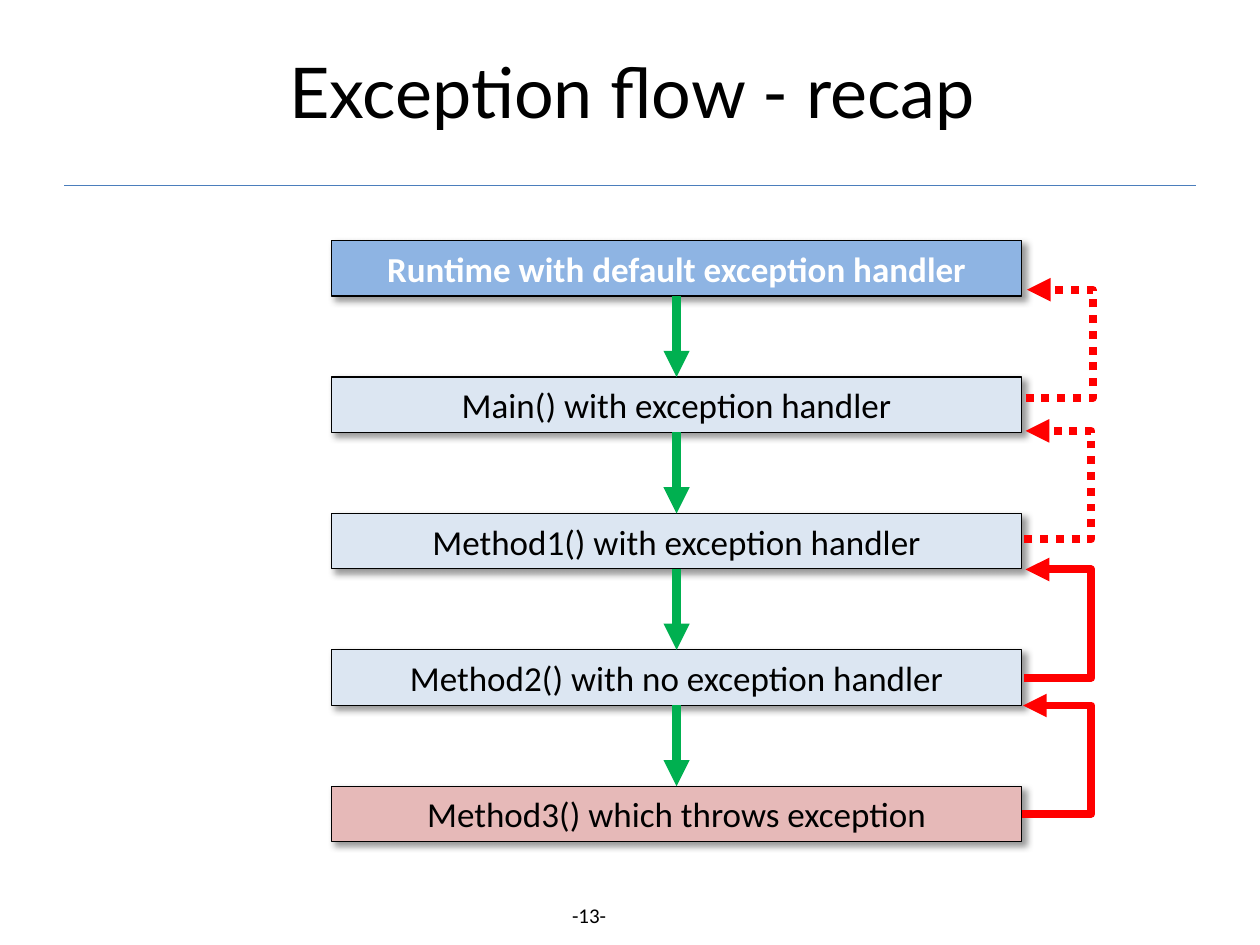
from pptx import Presentation
from pptx.dml.color import RGBColor
from pptx.enum.dml import MSO_LINE
from pptx.enum.shapes import MSO_CONNECTOR, MSO_SHAPE
from pptx.enum.text import MSO_ANCHOR, MSO_AUTO_SIZE, PP_ALIGN
from pptx.oxml import parse_xml
from pptx.oxml.ns import nsdecls
from pptx.util import Inches, Pt

STRAIGHT, ELBOW = MSO_CONNECTOR.STRAIGHT, MSO_CONNECTOR.ELBOW
DOTTED = MSO_LINE.ROUND_DOT
TITLE_ONLY = 5
COLORS = {
    "black": "000000", "white": "FFFFFF", "rule": "4B7EBC",
    "runtime": "8EB4E3", "method": "DCE6F2", "thrower": "E6B9B8",
    "call": "00B050", "throw": "FF0000",
}
CALLS = [
    ("Runtime with default exception handler", "runtime"),
    ("Main() with exception handler", "method"),
    ("Method1() with exception handler", "method"),
    ("Method2() with no exception handler", "method"),
    ("Method3() which throws exception", "thrower"),
]
# Start x, start y, lane x and dash of each step back up the stack
THROWS = [
    (8.11, 6.46, 8.67, None),
    (8.13, 5.38, 8.67, None),
    (8.13, 4.28, 8.67, DOTTED),
    (8.14, 3.16, 8.68, DOTTED),
]


def color(name):
    return RGBColor.from_string(COLORS[name])


def place(shape, left, top, width, height):
    shape.left, shape.top = Inches(left), Inches(top)
    shape.width, shape.height = Inches(width), Inches(height)


def write_text(shape, text, size, font="Calibri", ink="black", bold=False):
    frame = shape.text_frame
    frame.word_wrap = True
    frame.auto_size = MSO_AUTO_SIZE.NONE
    frame.vertical_anchor = MSO_ANCHOR.MIDDLE
    paragraph = frame.paragraphs[0]
    paragraph.alignment = PP_ALIGN.CENTER
    run = paragraph.add_run()
    run.text = text
    run.font.name, run.font.size, run.font.bold = font, Pt(size), bold
    run.font.color.rgb = color(ink)


def add_line(slide, kind, start, end, ink, width, dash=None, arrow=True):
    line = slide.shapes.add_connector(
        kind, *(Inches(value) for value in (*start, *end)))
    line.line.color.rgb = color(ink)
    line.line.width = Pt(width)
    if dash is not None:
        line.line.dash_style = dash
    if arrow:
        line.line._get_or_add_ln().append(
            parse_xml(f'<a:tailEnd {nsdecls("a")} type="triangle"/>'))
    line._element.spPr.append(parse_xml(f'<a:effectLst {nsdecls("a")}/>'))
    return line


def add_shadow(shape):
    shape.shadow.inherit = False
    shape._element.spPr.find("{*}effectLst").append(parse_xml(
        f'<a:outerShdw {nsdecls("a")} blurRad="{Pt(4)}" dist="{Pt(3)}" '
        'dir="2700000" algn="tl" rotWithShape="0"><a:srgbClr val="000000">'
        '<a:alpha val="40000"/></a:srgbClr></a:outerShdw>'))


def add_header(slide, left, top, width, height):
    title = slide.shapes.title
    place(title, left, top, width, height)
    write_text(title, "Exception flow - recap", 40, font="Lato")
    add_line(slide, STRAIGHT, (0.51, 1.47), (9.49, 1.47), "rule", 0.75,
             arrow=False)


def add_call_stack(slide, left, top, width, height):
    """Spread the call boxes evenly over the height and link them downwards."""
    box_height = 0.44
    pitch = (height - box_height) / (len(CALLS) - 1)
    center = left + width / 2
    for index, (text, fill) in enumerate(CALLS):
        box_top = top + index * pitch
        box = slide.shapes.add_shape(MSO_SHAPE.RECTANGLE, 0, 0, 0, 0)
        place(box, left, box_top, width, box_height)
        box.fill.solid()
        box.fill.fore_color.rgb = color(fill)
        box.line.color.rgb = color("black")
        box.line.width = Pt(0.75)
        add_shadow(box)
        first = index == 0
        write_text(box, text, 20, ink="white" if first else "black", bold=first)
        if not first:
            add_line(slide, STRAIGHT, (center, box_top - pitch + box_height),
                     (center, box_top), "call", 5)


def add_throws(slide):
    rise, shift = 0.86, 0.01
    for x, y, lane, dash in THROWS:
        line = add_line(slide, ELBOW, (x, y), (x + shift, y - rise), "throw",
                        4.5, dash)
        bend = round((lane - x) / shift * 100000)
        guides = line._element.spPr.prstGeom.get_or_add_avLst()
        guides.append(parse_xml(
            f'<a:gd {nsdecls("a")} name="adj1" fmla="val {bend}"/>'))


def add_page_number(slide, left, top, width, height):
    box = slide.shapes.add_textbox(0, 0, 0, 0)
    place(box, left, top, width, height)
    write_text(box, "-13-", 12)
    box.text_frame.word_wrap = False


def main():
    presentation = Presentation()
    presentation.slide_width = Inches(10)
    presentation.slide_height = Inches(7.5)
    slide = presentation.slides.add_slide(presentation.slide_layouts[TITLE_ONLY])
    add_header(slide, 0.98, 0.27, 8.07, 0.89)
    add_call_stack(slide, 2.63, 1.91, 5.48, 4.77)
    add_throws(slide)
    add_page_number(slide, 4.4, 7.11, 0.55, 0.3)
    presentation.save("out.pptx")


if __name__ == "__main__":
    main()
